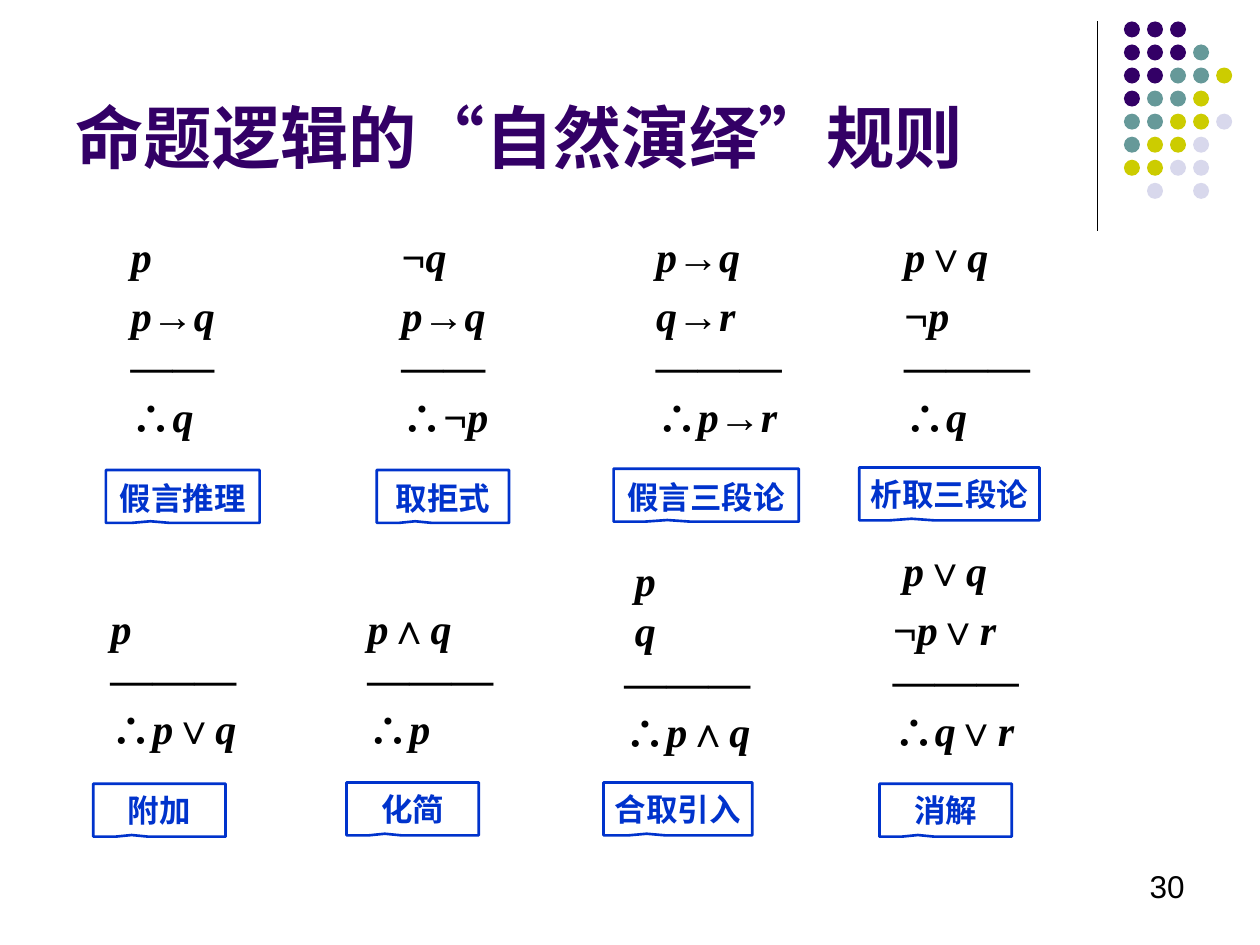
"""Build a slide of eight natural deduction rules of propositional logic."""
from itertools import groupby

from lxml import etree
from pptx import Presentation
from pptx import util as u
from pptx.dml.color import RGBColor
from pptx.enum import shapes, text
from pptx.oxml import ns

deck = Presentation()
deck.slide_width, deck.slide_height = u.Inches(10), u.Inches(7.5)
cell = deck.slide_width / 100


def grid(*cells):
    return [u.Emu(round(n * cell)) for n in cells]


def style(font, size, colour, bold=True, name="Arial"):
    font.size, font.bold, font.name = u.Pt(size), bold, name
    font.color.rgb = RGBColor.from_string(colour)


slide = deck.slides.add_slide(deck.slide_layouts[5])

start_x, start_y, end_x, end_y = grid(87.1, 1.7, 87.1, 18.3)
divider = slide.shapes.add_connector(shapes.MSO_CONNECTOR.STRAIGHT, start_x, start_y, end_x, end_y)
divider.line.color.rgb = RGBColor.from_string("000000")
divider.line.width = u.Pt(0.75)
etree.SubElement(divider._element.spPr, ns.qn("a:effectLst"))

dot_colours = {"P": "330066", "T": "669999", "Y": "CCCC00", "L": "D8D8EC"}
dot_rows = ["PPP", "PPPT", "PPTTY", "PTTY", "TTYYL", "TYYL", "YYLL", " L L"]
for row, letters in enumerate(dot_rows):
    for column, letter in enumerate(letters):
        if letter in dot_colours:
            dot = slide.shapes.add_shape(
                shapes.MSO_SHAPE.OVAL, *grid(89.2 + 1.83 * column, 1.7 + 1.83 * row, 1.27, 1.27))
            dot.shadow.inherit = False
            dot.fill.solid()
            dot.fill.fore_color.rgb = RGBColor.from_string(dot_colours[letter])
            dot.line.fill.background()

title = slide.shapes.title
title.left, title.top, title.width, title.height = grid(5, 1.3, 82.8, 13.3)
title.text_frame.text = "命题逻辑的“自然演绎”规则"
title.text_frame.vertical_anchor = text.MSO_ANCHOR.BOTTOM
title.text_frame.paragraphs[0].alignment = text.PP_ALIGN.LEFT
style(title.text_frame.paragraphs[0].font, 39, "330066")

proofs = [
    (5.6, 17.8, 15.7, 5, ["p", "p→q", "——", "∴q"], []),
    (27.1, 17.8, 15.7, 5, ["¬q", "p→q", "——", "∴¬p"], []),
    (47.3, 17.8, 21.3, 5, ["p→q", "q→r", "———", "∴p→r"], []),
    (67, 17.8, 21.3, 5, ["p∨q", "¬p", "———", "∴q"], []),
    (4, 47.3, 21.3, 5, ["p", "———", "∴p∨q"], []),
    (24.4, 47.3, 21.3, 5, ["p∧q", "———", "∴p"], []),
    (44.8, 43.5, 21.3, 0, ["p", "q", "———", "∴p∧q"], [0, 1]),
    (66.1, 42.7, 21.3, 5, ["p∨q", "¬p∨r", "———", "∴q∨r"], [0]),
]
for left, top, width, gap, steps, inset_steps in proofs:
    proof = slide.shapes.add_textbox(*grid(left, top, width, 20.3)).text_frame
    proof.word_wrap = True
    for number, step in enumerate(steps):
        line = proof.add_paragraph() if number else proof.paragraphs[0]
        indent = grid(4.6 if number in inset_steps else 3.8)[0]
        line._p.get_or_add_pPr().set("marL", str(indent))
        if number == 1 and len(steps) == 4:
            line.space_before = u.Pt(gap)
        style(line.font, 24, "000000", name="Times New Roman")
        for italic, symbols in groupby(step, lambda symbol: symbol in "pqr—"):
            run = line.add_run()
            run.text = "".join(symbols)
            run.font.italic = italic

rule_names = [
    ("假言推理", 8.4, 37.3, 12.2, 1.1),
    ("取拒式", 29.9, 37.3, 10.5, 1.1),
    ("假言三段论", 48.7, 37.2, 14.7, 1.1),
    ("析取三段论", 68.2, 37.1, 14.3, 1),
    ("附加", 7.4, 62.2, 10.5, 1),
    ("化简", 27.5, 62.1, 10.5, 1),
    ("合取引入", 47.9, 62.1, 11.8, 1),
    ("消解", 69.8, 62.2, 10.5, 1),
]
for name, left, top, width, spacing in rule_names:
    label = slide.shapes.add_shape(
        shapes.MSO_SHAPE.RECTANGULAR_CALLOUT, *grid(left, top, width, 4.2))
    label.adjustments[0], label.adjustments[1] = -0.21, 0.47
    label.shadow.inherit = False
    label.fill.solid()
    label.fill.fore_color.rgb = RGBColor.from_string("FFFFFF")
    label.line.color.rgb = RGBColor.from_string("0033CC")
    label.line.width = u.Pt(1.5)
    label.text_frame.word_wrap = False
    label.text_frame.text = name
    caption = label.text_frame.paragraphs[0]
    caption.alignment = text.PP_ALIGN.CENTER
    caption.line_spacing = spacing
    style(caption.font, 18, "0033CC")

page = slide.shapes.add_textbox(*grid(71.7, 68.3, 23.3, 5)).text_frame
page.word_wrap = True
page.text = "30"
page.paragraphs[0].alignment = text.PP_ALIGN.RIGHT
style(page.paragraphs[0].font, 18, "000000", bold=False)

deck.save("out.pptx")
